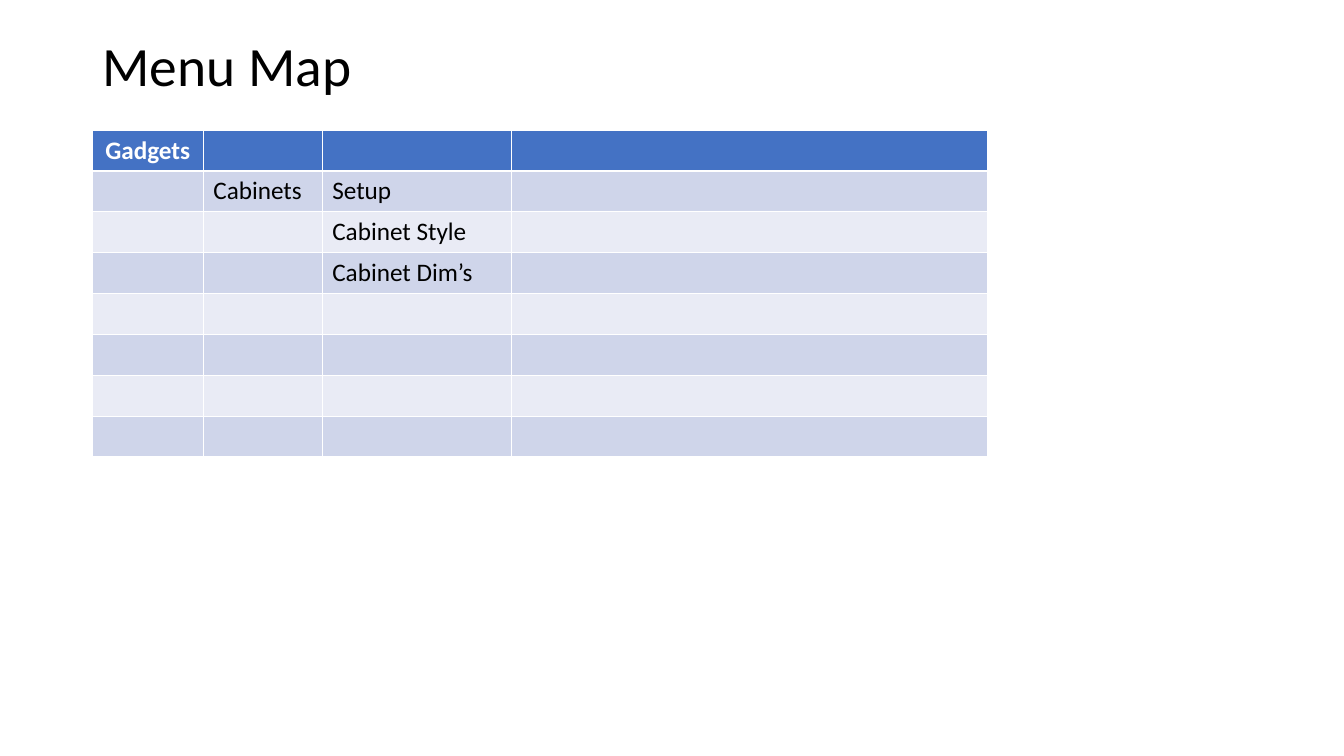
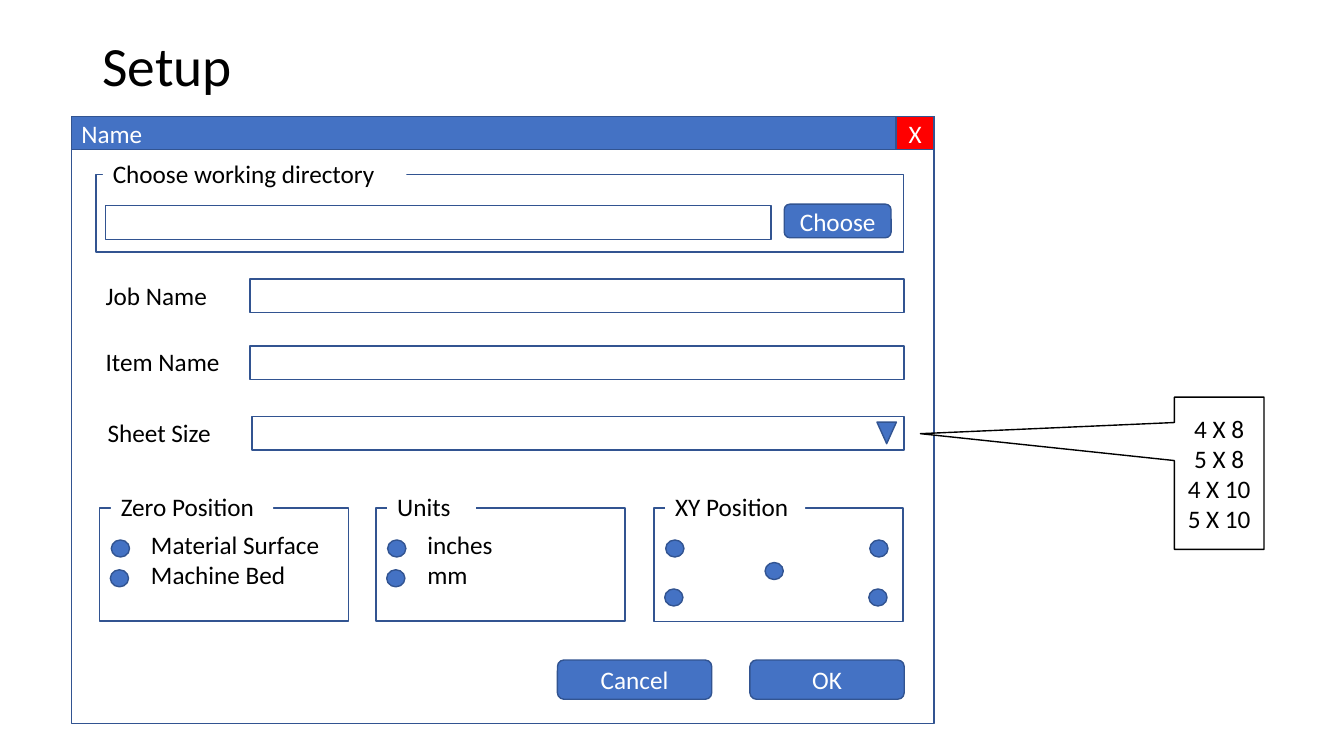
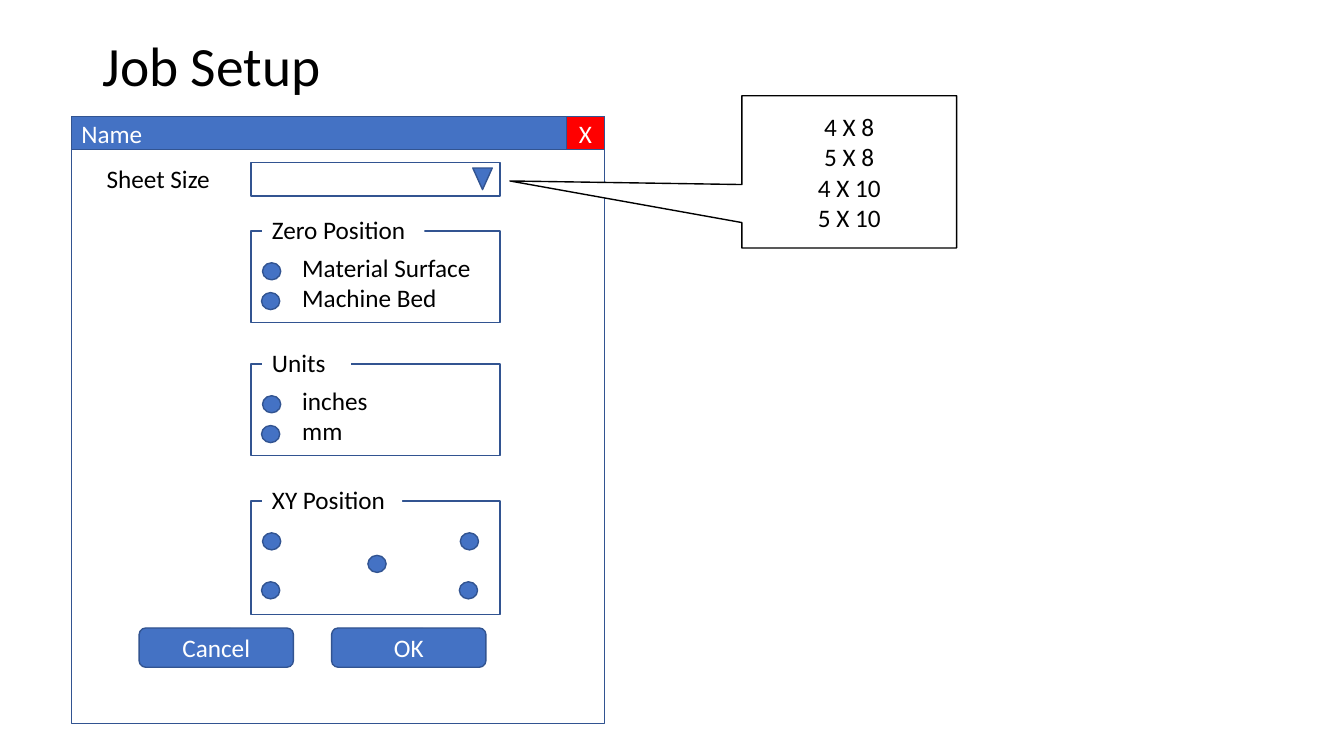
"""Build a menu map and two setup dialog mock-ups."""
import pptx
import pptx.dml.color
import pptx.enum.shapes
import pptx.enum.text
import pptx.util

Pt = pptx.util.Pt
SHAPE = pptx.enum.shapes.MSO_SHAPE
ALIGN = pptx.enum.text.PP_ALIGN
ANCHOR = pptx.enum.text.MSO_ANCHOR

THEME = dict(
    font="Calibri", title_size=39.6, body_size=18, line_width=1,
    black="000000", white="FFFFFF", blue="4472C4", outline="325491",
    red="FF0000", band_dark="CFD5EA", band_light="E9EBF5",
)

MENU = dict(
    title="Menu Map", at=(66, 92.9), row_height=29.2,
    widths=(79.2, 85, 135.4, 339.8),
    rows=[
        ("Gadgets", "", "", ""),
        ("", "Cabinets", "Setup", ""),
        ("", "", "Cabinet Style", ""),
        ("", "", "Cabinet Dim’s", ""),
    ] + [("",) * 4] * 4,
)

SHEET_SIZES = ("4 X 8", "5 X 8", "4 X 10", "5 X 10")
OPTION_GROUPS = [
    ("Zero Position", 116, ("Material Surface", "Machine Bed")),
    ("Units", 63.4, ("inches", "mm")),
]
XY_GROUP = ("XY Position", 100)

DIALOGS = [
    dict(
        title="Setup", width=616.3,
        directory=dict(legend="Choose working directory", button="Choose"),
        fields=[("Job Name", 68.4, 178.6, 199.4), ("Item Name", 68.4, 178.6, 247)],
        sheet=("Sheet Size", 69.8, 180, 297.4), right=645.8,
        groups=[(71.3, 362.9), (268.7, 362.9)], group_height=80.6,
        xy=(467.3, 362.9), xy_center=79.2, xy_right=154,
        buttons=(398.2, 471.5),
        callout=(838.8, 283.7, 64.1, 108.7), tip=(-3.33, -0.26),
    ),
    dict(
        title="Job Setup", width=380.9, directory=None, fields=[],
        sheet=("Sheet Size", 69.1, 179.3, 115.9), right=357.1,
        groups=[(179.3, 164.9), (179.3, 259.9)], group_height=65.5,
        xy=(179.3, 357.8), xy_center=83.5, xy_right=149.5,
        buttons=(99.4, 448.6),
        callout=(529.9, 68.4, 153.4, 108.7), tip=(-1.58, 0.06),
    ),
]

WINDOW_LEFT, WINDOW_TOP, WINDOW_HEIGHT = 51, 83, 434
FIELD_HEIGHT, LABEL_HEIGHT, CLOSE_WIDTH = 24, 29, 27.4
GROUP_WIDTH, OPTION_STEP = 177.8, 21.3
BUTTON_WIDTH, BUTTON_HEIGHT, BUTTON_STEP = 110.2, 28, 137.5


def rgb(name):
    return pptx.dml.color.RGBColor.from_string(THEME[name])


def set_all(target, values):
    for name, value in values.items():
        setattr(target, name, value)


def write(tf, lines, color="black", size="body_size", align=ALIGN.LEFT,
          anchor=ANCHOR.TOP, bold=False, spacing=None):
    set_all(tf, dict(word_wrap=True, vertical_anchor=anchor,
                     auto_size=pptx.enum.text.MSO_AUTO_SIZE.NONE))
    for i, line in enumerate(lines):
        p = tf.add_paragraph() if i else tf.paragraphs[0]
        set_all(p, dict(alignment=align, line_spacing=spacing))
        r = p.add_run()
        r.text = line
        set_all(r.font, dict(name=THEME["font"], size=Pt(THEME[size]), bold=bold))
        r.font.color.rgb = rgb(color)


def add_slide(prs, title):
    s = prs.slides.add_slide(prs.slide_layouts[5])
    set_all(s.shapes.title, dict(left=Pt(66), top=Pt(29), width=Pt(828), height=Pt(40.3)))
    write(s.shapes.title.text_frame, [title], size="title_size",
          anchor=ANCHOR.MIDDLE, spacing=0.9)
    return s


def add_box(shapes, x, y, w, h, kind=SHAPE.RECTANGLE, fill=None, line="outline",
            lines=(), **text):
    sp = shapes.add_shape(kind, Pt(x), Pt(y), Pt(w), Pt(h))
    sp.shadow.inherit = False
    if fill:
        sp.fill.solid()
        sp.fill.fore_color.rgb = rgb(fill)
    else:
        sp.fill.background()
    if line:
        sp.line.color.rgb = rgb(line)
        sp.line.width = Pt(THEME["line_width"])
    else:
        sp.line.fill.background()
    if lines:
        write(sp.text_frame, lines, **text)
    return sp


def add_label(shapes, x, y, w, text):
    sp = shapes.add_textbox(Pt(x), Pt(y), Pt(w), Pt(LABEL_HEIGHT))
    write(sp.text_frame, [text])


def add_button(shapes, x, y, w, h, text, kind=SHAPE.ROUNDED_RECTANGLE, fill="blue"):
    add_box(shapes, x, y, w, h, kind, fill, lines=[text], color="white",
            align=ALIGN.CENTER, anchor=ANCHOR.MIDDLE)


def add_dot(shapes, x, y):
    add_box(shapes, x, y, 13, 12.2, SHAPE.OVAL, "blue")


def add_frame(shapes, x, y, w, h, legend, legend_width, indent=7.9):
    add_box(shapes, x, y, w, h)
    add_box(shapes, x + indent, y - 15.6, legend_width, LABEL_HEIGHT,
            fill="white", line=None, lines=[legend])


def add_field(shapes, label, label_x, x, y, right):
    add_box(shapes, x, y, right - x, FIELD_HEIGHT)
    add_label(shapes, label_x, y - 2.9, 101.5, label)


def add_options(s, x, y, h, legend, legend_width, options):
    shapes = s.shapes.add_group_shape().shapes
    add_frame(shapes, x, y, GROUP_WIDTH, h, legend, legend_width)
    for i, option in enumerate(options):
        add_dot(shapes, x + 8.2 - 0.7 * i, y + 22.8 + OPTION_STEP * i)
        add_label(shapes, x + 29.5, y + 11.6 + OPTION_STEP * i, 172.8, option)


def add_xy(s, x, y, center, right):
    shapes = s.shapes.add_group_shape().shapes
    add_frame(shapes, x, y, GROUP_WIDTH, 81, *XY_GROUP)
    for dx in (8.2, right):
        add_dot(shapes, x + dx, y + 22.8)
        add_dot(shapes, x + dx - 0.7, y + 57.8)
    add_dot(shapes, x + center, y + 38.9)


def add_window(shapes, width):
    add_box(shapes, WINDOW_LEFT, WINDOW_TOP, width, WINDOW_HEIGHT)
    add_box(shapes, WINDOW_LEFT, WINDOW_TOP, width, FIELD_HEIGHT, fill="blue",
            lines=["Name"], color="white", anchor=ANCHOR.MIDDLE)
    add_button(shapes, WINDOW_LEFT + width - CLOSE_WIDTH, WINDOW_TOP, CLOSE_WIDTH,
               FIELD_HEIGHT, "X", SHAPE.RECTANGLE, "red")


def add_directory(shapes, directory):
    add_frame(shapes, 68.5, 124.8, 576.9, 55.2, directory["legend"], 216.7, 5)
    add_box(shapes, 75.5, 146.9, 475.2, FIELD_HEIGHT)
    add_button(shapes, 560.2, 145.8, 76.3, FIELD_HEIGHT, directory["button"])


def build_menu(prs):
    s = add_slide(prs, MENU["title"])
    rows, widths, height = MENU["rows"], MENU["widths"], MENU["row_height"]
    x, y = MENU["at"]
    table = s.shapes.add_table(len(rows), len(widths), Pt(x), Pt(y),
                               Pt(sum(widths)), Pt(height * len(rows))).table
    for column, width in zip(table.columns, widths):
        column.width = Pt(width)
    for i, row in enumerate(rows):
        table.rows[i].height = Pt(height)
        fill = "blue" if i == 0 else ("band_light", "band_dark")[i % 2]
        text = dict(color="white", bold=True, align=ALIGN.CENTER) if i == 0 else {}
        for j, value in enumerate(row):
            cell = table.cell(i, j)
            cell.fill.solid()
            cell.fill.fore_color.rgb = rgb(fill)
            if value:
                write(cell.text_frame, [value], **text)


def build_dialog(prs, d):
    s = add_slide(prs, d["title"])
    shapes = s.shapes
    add_window(shapes, d["width"])
    if d["directory"]:
        add_directory(shapes, d["directory"])
    for field in d["fields"] + [d["sheet"]]:
        add_field(shapes, *field, d["right"])
    arrow = add_box(shapes, d["right"] - 19.4, d["sheet"][3] + 4.1, 13.9, 15.4,
                    SHAPE.ISOSCELES_TRIANGLE, "blue")
    arrow.rotation = 180
    for (x, y), group in zip(d["groups"], OPTION_GROUPS):
        add_options(s, x, y, d["group_height"], *group)
    add_xy(s, *d["xy"], d["xy_center"], d["xy_right"])
    x, y = d["buttons"]
    for i, text in enumerate(("Cancel", "OK")):
        add_button(shapes, x + BUTTON_STEP * i, y, BUTTON_WIDTH, BUTTON_HEIGHT, text)
    callout = add_box(shapes, *d["callout"], SHAPE.RECTANGULAR_CALLOUT, "white", "black",
                      SHEET_SIZES, align=ALIGN.CENTER, anchor=ANCHOR.MIDDLE)
    for i, value in enumerate(d["tip"]):
        callout.adjustments[i] = value


def main():
    prs = pptx.Presentation()
    set_all(prs, dict(slide_width=Pt(960), slide_height=Pt(540)))
    build_menu(prs)
    for dialog in DIALOGS:
        build_dialog(prs, dialog)
    prs.save("out.pptx")


if __name__ == "__main__":
    main()
